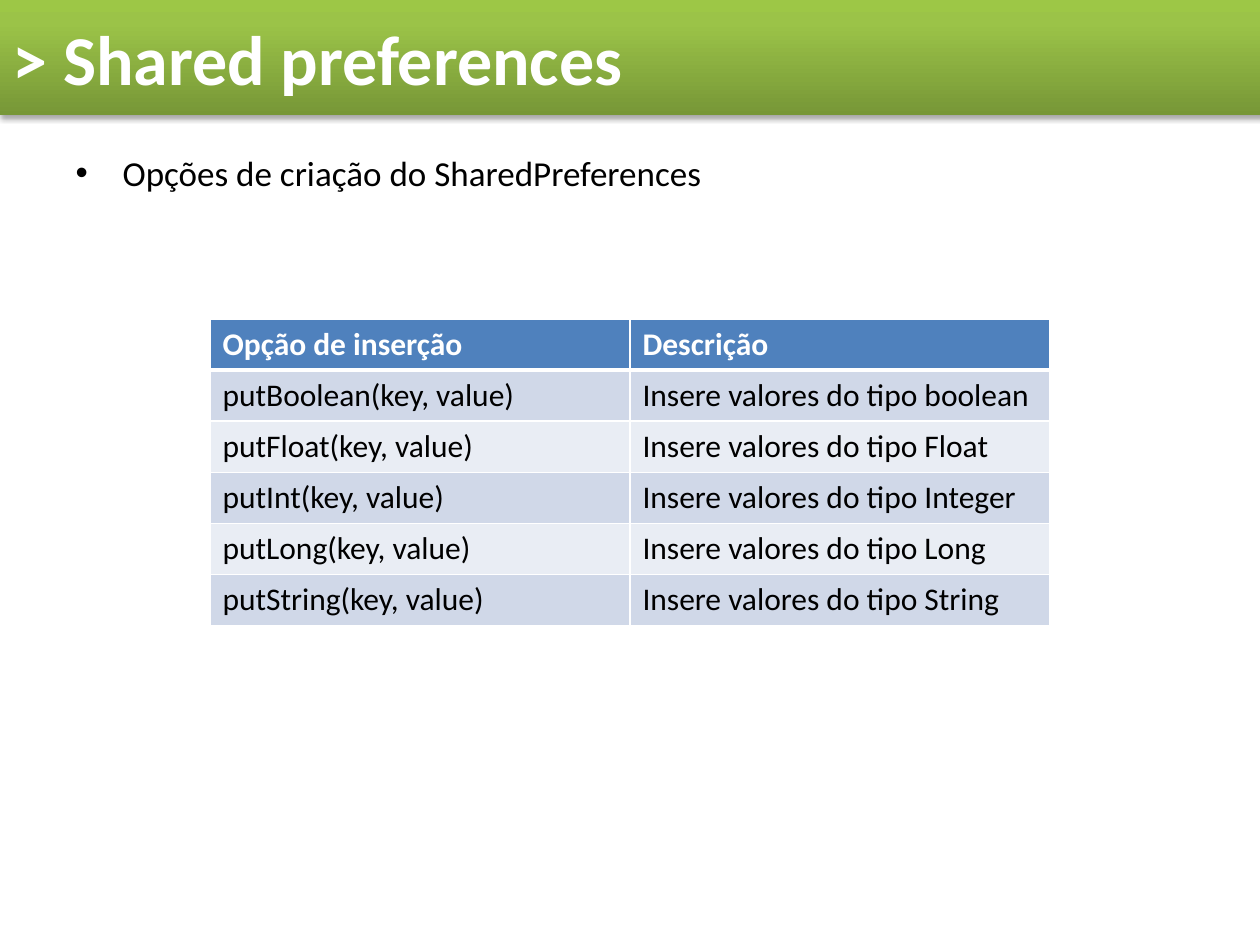
import copy
import dataclasses

import lxml.etree
import pptx
import pptx.dml.color
import pptx.enum.text
import pptx.oxml.ns
import pptx.util

EMU_PER_PX = 914400 / 126


def px(length):
    return pptx.util.Emu(round(length * EMU_PER_PX))


def rgb(code):
    return pptx.dml.color.RGBColor.from_string(code)


def add_xml(parent, tag, **attributes):
    child = lxml.etree.SubElement(parent, pptx.oxml.ns.qn(tag))
    for name, value in attributes.items():
        child.set(name, str(value))
    return child


@dataclasses.dataclass(frozen=True)
class Theme:
    font: str = "Calibri"
    title_size: int = 40
    body_size: int = 20
    table_size: int = 18
    light: str = "FFFFFF"
    dark: str = "000000"
    header: str = "4F81BD"
    stripes: tuple = ("D0D8E8", "E9EDF4")
    banner: tuple = ((0, "779737"), (0.8, "9BC348"), (1, "9DC746"))
    thin_rule: int = 1
    thick_rule: int = 3


class SlideBuilder:
    def __init__(self, theme, slide):
        self.theme = theme
        self.slide = slide

    def place(self, shape, left, top, width, height):
        shape.left, shape.top = px(left), px(top)
        shape.width, shape.height = px(width), px(height)

    def add_text(self, paragraph, text, size, color, bold=False):
        run = paragraph.add_run()
        run.text = text
        run.font.name = self.theme.font
        run.font.size = pptx.util.Pt(size)
        run.font.bold = bold
        run.font.color.rgb = rgb(color)

    def banner_title(self, text, *box):
        banner = self.slide.shapes.title
        self.place(banner, *box)
        banner.fill.gradient()
        banner.fill.gradient_angle = 90
        properties = banner._element.spPr
        stop_list = properties.find(".//" + pptx.oxml.ns.qn("a:gsLst"))
        stop_list.append(copy.deepcopy(stop_list[0]))
        for stop, (position, color) in zip(banner.fill.gradient_stops, self.theme.banner):
            stop.position = position
            stop.color.rgb = rgb(color)
        effects = add_xml(properties, "a:effectLst")
        shadow = add_xml(effects, "a:outerShdw", blurRad=pptx.util.Pt(3.1),
                         dist=pptx.util.Pt(1.8), dir=5400000, rotWithShape=0)
        shade = add_xml(shadow, "a:srgbClr", val=self.theme.dark)
        add_xml(shade, "a:alpha", val=35000)
        frame = banner.text_frame
        frame.vertical_anchor = pptx.enum.text.MSO_ANCHOR.MIDDLE
        heading = frame.paragraphs[0]
        heading.alignment = pptx.enum.text.PP_ALIGN.LEFT
        self.add_text(heading, text, self.theme.title_size, self.theme.light, bold=True)

    def bullet_list(self, items, indent, *box):
        body = self.slide.placeholders[1]
        self.place(body, *box)
        frame = body.text_frame
        for index, item in enumerate(items):
            bullet = frame.add_paragraph() if index else frame.paragraphs[0]
            bullet.alignment = pptx.enum.text.PP_ALIGN.JUSTIFY
            layout = bullet._p.get_or_add_pPr()
            layout.set("marL", str(px(indent)))
            layout.set("indent", str(-px(indent)))
            add_xml(layout, "a:buChar", char="•")
            self.add_text(bullet, item, self.theme.body_size, self.theme.dark)

    def cell_borders(self, cell, top, bottom):
        properties = cell._tc.get_or_add_tcPr()
        thin = self.theme.thin_rule
        for side, width in zip("LRTB", (thin, thin, top, bottom)):
            line = add_xml(properties, "a:ln" + side, w=pptx.util.Pt(width))
            add_xml(add_xml(line, "a:solidFill"), "a:srgbClr", val=self.theme.light)

    def striped_table(self, rows, left, top, column_width, row_height):
        theme = self.theme
        columns = len(rows[0])
        grid = self.slide.shapes.add_table(
            len(rows), columns, px(left), px(top),
            px(column_width * columns), px(row_height * len(rows))).table
        for row_index, row in enumerate(rows):
            is_header = row_index == 0
            fill = theme.header if is_header else theme.stripes[(row_index - 1) % 2]
            color = theme.light if is_header else theme.dark
            above = theme.thick_rule if row_index == 1 else theme.thin_rule
            below = theme.thick_rule if is_header else theme.thin_rule
            for column_index, text in enumerate(row):
                cell = grid.cell(row_index, column_index)
                self.cell_borders(cell, above, below)
                cell.fill.solid()
                cell.fill.fore_color.rgb = rgb(fill)
                self.add_text(cell.text_frame.paragraphs[0], text,
                              theme.table_size, color, bold=is_header)


def main():
    deck = pptx.Presentation()
    deck.slide_width, deck.slide_height = px(1260), px(945)
    builder = SlideBuilder(Theme(), deck.slides.add_slide(deck.slide_layouts[1]))

    builder.bullet_list(["Opções de criação do SharedPreferences"], 47, 63, 145, 1134, 788)
    builder.banner_title("> Shared preferences", 0, 0, 1265, 115)

    value_types = {"Boolean": "boolean", "Float": "Float", "Int": "Integer",
                   "Long": "Long", "String": "String"}
    options = [("Opção de inserção", "Descrição")]
    options += [(f"put{suffix}(key, value)", f"Insere valores do tipo {kind}")
                for suffix, kind in value_types.items()]
    builder.striped_table(options, 210, 319, 420, 51)

    deck.save("out.pptx")


if __name__ == "__main__":
    main()
